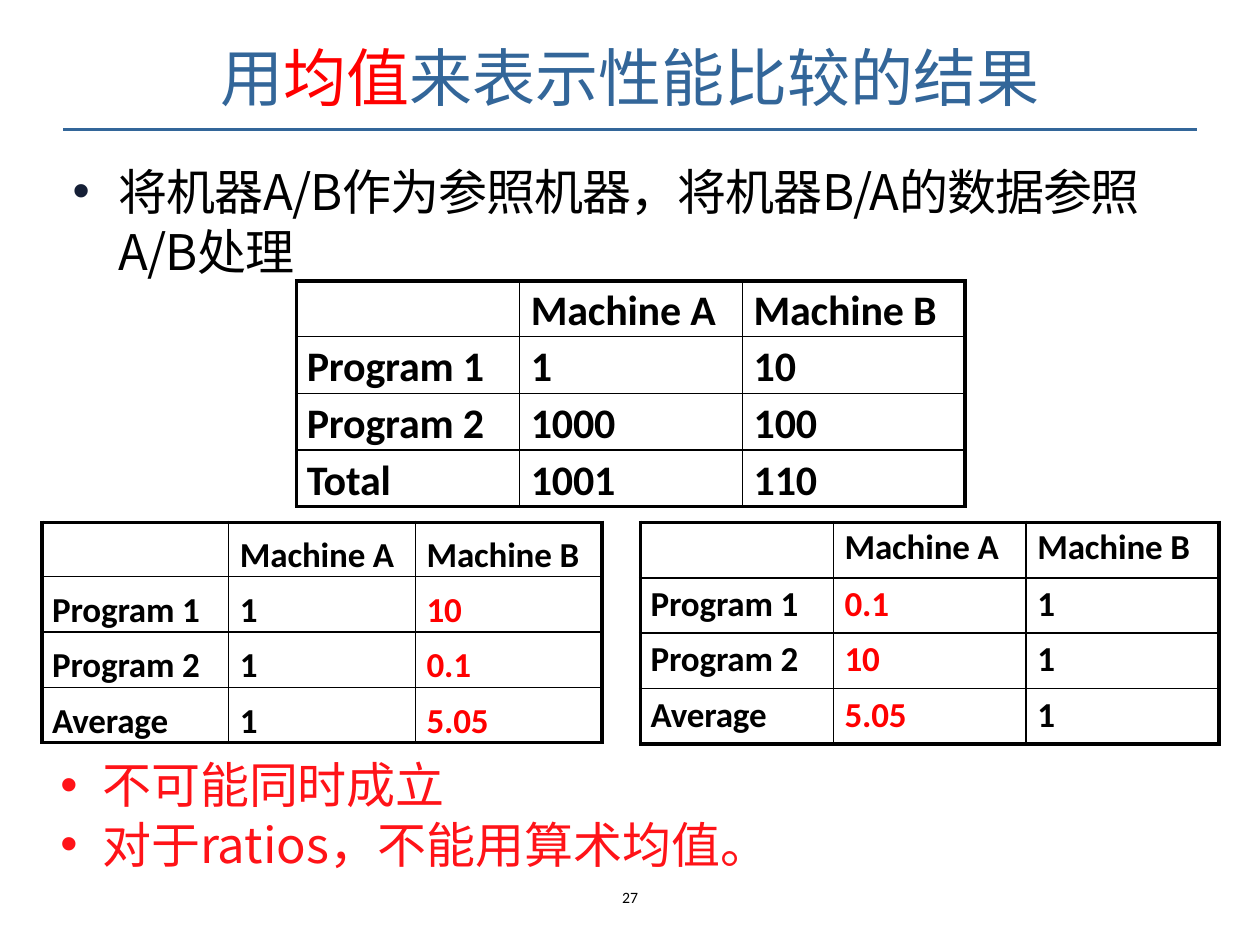
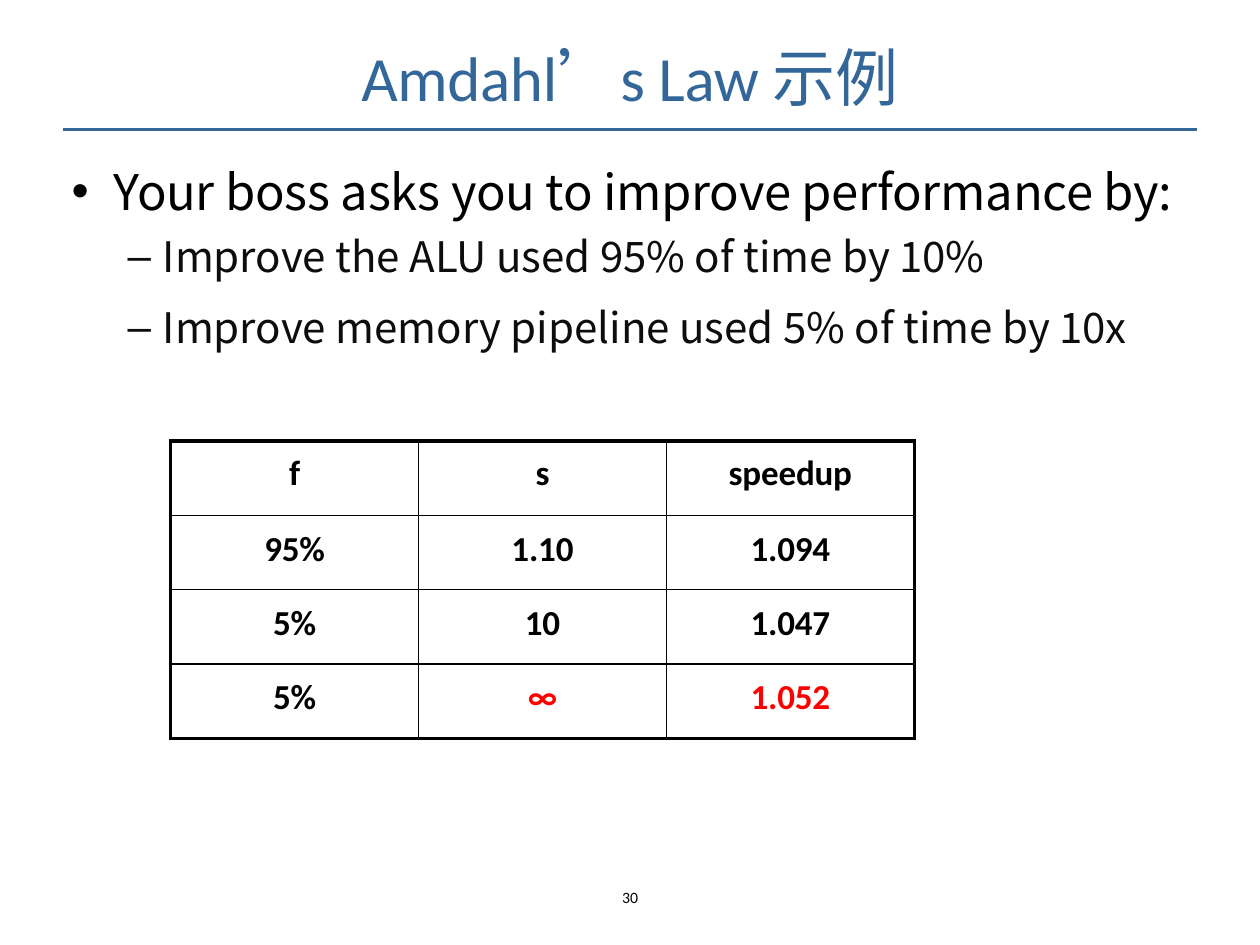
from lxml.etree import SubElement
from pptx import Presentation
from pptx.dml.color import RGBColor
from pptx.enum.shapes import MSO_CONNECTOR
from pptx.enum.text import MSO_ANCHOR, PP_ALIGN
from pptx.oxml.ns import qn
from pptx.util import Pt

BLUE, RED, BLACK, DARK = "336699", "FF0000", "000000", "0D0D0D"
BULLET_NAVY, NOTE_RED = "151F36", "FF1318"
LATIN, CHINESE = "Calibri", "Noto Sans CJK SC"
TITLE_ONLY = 5
NO_MARGINS = dict(margin_left=0, margin_top=0, margin_right=0, margin_bottom=0)
HEADING = dict(size=28, indent=24.5, hanging=24, line=34)
DETAIL = dict(size=24, indent=52.5, hanging=20, line=28.6, gap=6, symbol="–")


def color(hex_string):
    return RGBColor.from_string(hex_string)


def apply(target, values):
    for name, value in values.items():
        setattr(target, name, value)


def add_run(paragraph, text, size, hex_color, font=CHINESE, bold=False, spacing=0):
    """Add text with the same font rules for Latin and Chinese letters."""
    run = paragraph.add_run()
    run.text = text
    apply(run.font, dict(size=Pt(size), name=font, bold=bold))
    run.font.color.rgb = color(hex_color)
    properties = run._r.get_or_add_rPr()
    if spacing:
        properties.set("spc", str(round(spacing * 100)))
    SubElement(properties, qn("a:ea")).set("typeface", CHINESE)


def add_bullet(paragraph, indent, hanging, hex_color, symbol):
    properties = paragraph._p.get_or_add_pPr()
    properties.set("marL", str(Pt(indent)))
    properties.set("indent", str(-Pt(hanging)))
    bullet_color = SubElement(properties, qn("a:buClr"))
    SubElement(bullet_color, qn("a:srgbClr")).set("val", hex_color)
    SubElement(properties, qn("a:buFont")).set("typeface", "Arial")
    SubElement(properties, qn("a:buChar")).set("char", symbol)


def add_text_frame(slide, box, margins):
    shape = slide.shapes.add_textbox(*map(Pt, box))
    apply(shape.text_frame, dict(word_wrap=True, **margins))
    return shape.text_frame


def add_bullets(slide, box, items):
    """Fill the box with one bullet paragraph per (text, format) item."""
    frame = add_text_frame(slide, box, NO_MARGINS)
    for index, (text, style) in enumerate(items):
        paragraph = frame.add_paragraph() if index else frame.paragraphs[0]
        gap = Pt(style.get("gap", 0))
        apply(paragraph, dict(line_spacing=Pt(style["line"]),
                              space_before=gap, space_after=gap))
        text_color = style.get("color", BLACK)
        add_bullet(paragraph, style["indent"], style["hanging"],
                   style.get("bullet_color", text_color), style.get("symbol", "•"))
        add_run(paragraph, text, style["size"], text_color,
                spacing=style.get("spacing", 0))


def add_borders(cell, widths):
    properties = cell._tc.get_or_add_tcPr()
    for side, width in zip("LRTB", widths):
        line = SubElement(properties, qn(f"a:ln{side}"))
        line.set("w", str(Pt(width)))
        fill = SubElement(line, qn("a:solidFill"))
        SubElement(fill, qn("a:srgbClr")).set("val", BLACK)


def add_grid(slide, box, rows, size, line_spacing, red_cells=(), centered=False):
    """Draw a table with a thick frame, thin inner lines and equal cells."""
    row_count, column_count = len(rows), len(rows[0])
    left, top, width, height = box
    table = slide.shapes.add_table(row_count, column_count, *map(Pt, box)).table
    apply(table, dict(first_row=False, horz_banding=False))
    for column in table.columns:
        column.width = Pt(width / column_count)
    for row_index, texts in enumerate(rows):
        table.rows[row_index].height = Pt(height / row_count)
        for column_index, text in enumerate(texts):
            cell = table.cell(row_index, column_index)
            apply(cell, NO_MARGINS)
            if not centered:
                cell.margin_left = Pt(6.5 if column_index else 5.8)
            on_frame = (column_index == 0, column_index == column_count - 1,
                        row_index == 0, row_index == row_count - 1)
            add_borders(cell, [2.25 if outer else 1 for outer in on_frame])
            cell.fill.background()
            if not text:
                continue
            paragraph = cell.text_frame.paragraphs[0]
            apply(paragraph, dict(
                alignment=PP_ALIGN.CENTER if centered else PP_ALIGN.LEFT,
                line_spacing=Pt(line_spacing - (0 if row_index else 0.6))))
            is_red = (row_index, column_index) in red_cells
            add_run(paragraph, text, size, RED if is_red else BLACK, LATIN,
                    bold=True, spacing=-0.1)


def add_title(slide, runs, font, spacing=0):
    title = slide.shapes.title
    apply(title, dict(left=0, top=Pt(16.5), width=Pt(720), height=Pt(54)))
    title.text_frame.vertical_anchor = MSO_ANCHOR.MIDDLE
    paragraph = title.text_frame.paragraphs[0]
    paragraph.alignment = PP_ALIGN.CENTER
    for text, hex_color in runs:
        add_run(paragraph, text, 36, hex_color, font, spacing=spacing)


def add_title_rule(slide):
    rule = slide.shapes.add_connector(MSO_CONNECTOR.STRAIGHT,
                                      Pt(36), Pt(74), Pt(684), Pt(74))
    rule.line.color.rgb = color(BLUE)
    rule.line.width = Pt(2)
    SubElement(rule._element.spPr, qn("a:effectLst"))


def add_page_number(slide, number):
    margins = dict(margin_left=Pt(8), margin_right=Pt(8),
                   margin_top=Pt(4), margin_bottom=Pt(4))
    frame = add_text_frame(slide, (290, 503.5, 140, 16.5), margins)
    paragraph = frame.paragraphs[0]
    paragraph.alignment = PP_ALIGN.CENTER
    add_run(paragraph, str(number), 9, BLACK, LATIN)


def add_framed_slide(presentation, title_runs, number, font=CHINESE, spacing=0):
    slide = presentation.slides.add_slide(presentation.slide_layouts[TITLE_ONLY])
    add_title_rule(slide)
    add_title(slide, title_runs, font, spacing)
    add_page_number(slide, number)
    return slide


def build_mean_slide(presentation):
    slide = add_framed_slide(
        presentation,
        [("用", BLUE), ("均值", RED), ("来表示性能比较的结果", BLUE)], 27)
    reference = dict(HEADING, indent=27.5, hanging=26.5, gap=6,
                     spacing=-0.6, bullet_color=BULLET_NAVY)
    add_bullets(slide, (40.5, 92, 639.5, 68),
                [("将机器A/B作为参照机器，将机器B/A的数据参照A/B处理", reference)])

    header = ("", "Machine A", "Machine B")
    add_grid(slide, (169.5, 160.5, 382, 118), [
        header,
        ("Program 1", "1", "10"),
        ("Program 2", "1000", "100"),
        ("Total", "1001", "110"),
    ], 24, 32.4)
    add_grid(slide, (24, 298.5, 320, 104), [
        header,
        ("Program 1", "1", "10"),
        ("Program 2", "1", "0.1"),
        ("Average", "1", "5.05"),
    ], 20, 31.6, red_cells=[(row, 2) for row in (1, 2, 3)])
    add_grid(slide, (366, 298.5, 330.5, 126.7), [
        header,
        ("Program 1", "0.1", "1"),
        ("Program 2", "10", "1"),
        ("Average", "5.05", "1"),
    ], 20, 27.5, red_cells=[(row, 1) for row in (1, 2, 3)])

    conclusion = dict(HEADING, color=NOTE_RED)
    add_bullets(slide, (34, 431, 639.5, 68), [
        ("不可能同时成立", conclusion),
        ("对于ratios，不能用算术均值。", conclusion),
    ])


def build_amdahl_slide(presentation):
    slide = add_framed_slide(presentation, [("Amdahl’s Law 示例", BLUE)], 30,
                             font=LATIN, spacing=-0.2)
    detail = dict(DETAIL, color=DARK)
    add_bullets(slide, (40.5, 92, 639.5, 120), [
        ("Your boss asks you to improve performance by:",
         dict(HEADING, spacing=-0.15)),
        ("Improve the ALU used 95% of time by 10%", detail),
        ("Improve memory pipeline used 5% of time by 10x", detail),
    ])
    add_grid(slide, (97.5, 252, 425, 170), [
        ("f", "s", "speedup"),
        ("95%", "1.10", "1.094"),
        ("5%", "10", "1.047"),
        ("5%", "∞", "1.052"),
    ], 20, 31.6, red_cells=[(3, 1), (3, 2)], centered=True)


def main():
    presentation = Presentation()
    apply(presentation, dict(slide_width=Pt(720), slide_height=Pt(540)))
    build_mean_slide(presentation)
    build_amdahl_slide(presentation)
    presentation.save("out.pptx")


if __name__ == "__main__":
    main()
